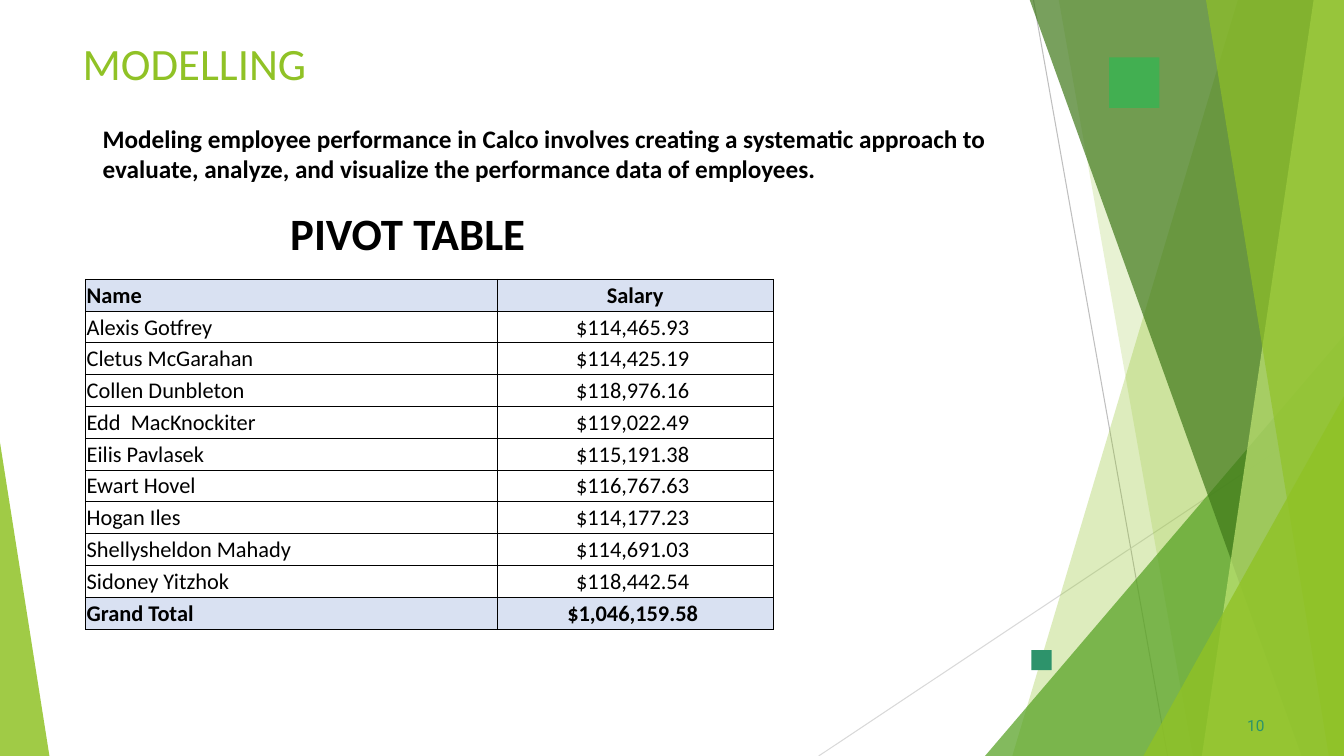
from dataclasses import dataclass
from lxml.etree import SubElement
from pptx import Presentation
from pptx.dml.color import RGBColor
from pptx.enum.shapes import MSO_CONNECTOR, MSO_SHAPE
from pptx.enum.text import MSO_ANCHOR, PP_ALIGN
from pptx.oxml.ns import qn
from pptx.util import Inches, Pt


@dataclass(frozen=True)
class Theme:
    lime: str = "90C226"
    green: str = "54A021"
    dark: str = "3F7819"
    pale: str = "C0E474"
    teal: str = "2D936B"
    leaf: str = "42AF51"
    black: str = "000000"
    band: str = "D9E1F2"
    rule: str = "BFBFBF"
    faint: str = "D9D9D9"
    head: int = 32
    body: int = 18
    cell: int = 16
    page: int = 11
    font: str = "Calibri"
    alt: str = "Roboto"


def paint(shape, color, alpha=100):
    shape.shadow.inherit = False
    shape.line.fill.background()
    shape.fill.solid()
    shape.fill.fore_color.rgb = RGBColor.from_string(color)
    if alpha < 100:
        tone = shape.fill._xPr.find(qn("a:solidFill"))[0]
        SubElement(tone, qn("a:alpha"), val=str(alpha * 1000))


def style(frame, size, color, bold=False, font=Theme.font):
    for run in frame.paragraphs[0].runs:
        run.font.name = font
        run.font.size = Pt(size)
        run.font.bold = bold
        run.font.color.rgb = RGBColor.from_string(color)


theme = Theme()
deck = Presentation()
deck.slide_width, deck.slide_height = Inches(13.33), Inches(7.5)
slide = deck.slides.add_slide(deck.slide_layouts[6])
shapes = slide.shapes

# Thin lines behind the facets
for x1, y1, x2, y2, color in [
    (10.25, 0, 11.58, 7.5, theme.rule),
    (13.33, 4.03, 8.12, 7.5, theme.faint),
]:
    line = shapes.add_connector(
        MSO_CONNECTOR.STRAIGHT, Inches(x1), Inches(y1), Inches(x2), Inches(y2))
    line.line.color.rgb = RGBColor.from_string(color)
    line.line.width = Pt(0.75)
    SubElement(line._element.spPr, qn("a:effectLst"))

# Facets, back to front: bands give the top and bottom of their slanted edge,
# triangles give left, top, width, height and apex
for kind, place, color, alpha in [
    ("band", (12.28, 10.04), theme.lime, 30),
    ("band", (10.5, 11.83), theme.lime, 20),
    ("tri", (9.77, 3.33, 3.56, 4.17, 1), theme.green, 72),
    ("band", (10.21, 12.91), theme.dark, 70),
    ("band", (13.03, 11.92), theme.pale, 70),
    ("band", (11.96, 13.18), theme.lime, 65),
    ("tri", (11.34, 3.93, 1.99, 3.57, 1), theme.lime, 80),
    ("tri", (0, 4.39, 0.49, 3.11, 0), theme.lime, 85),
]:
    if kind == "band":
        top, foot = place
        form = shapes.build_freeform(Inches(top), Inches(-0.01))
        form.add_line_segments([
            (Inches(x), Inches(y))
            for x, y in [(13.33, -0.01), (13.33, 7.5), (foot, 7.5)]])
        facet = form.convert_to_shape()
    else:
        *box, apex = place
        facet = shapes.add_shape(
            MSO_SHAPE.ISOSCELES_TRIANGLE, *[Inches(v) for v in box])
        facet.adjustments[0] = apex
    paint(facet, color, alpha)

# Small squares
for x, y, side, color in [
    (10.23, 6.45, 0.2, theme.teal),
    (11, 0.57, 0.5, theme.leaf),
]:
    square = shapes.add_shape(
        MSO_SHAPE.RECTANGLE, Inches(x), Inches(y), Inches(side), Inches(side))
    paint(square, color)

# Page number, title, intro and table heading
for text, box, pad, size, color, bold, font in [
    ("10", (12.33, 7.08, 0.25, 0.21), (0.04, 0.02, 0, 0),
     theme.page, theme.teal, False, theme.alt),
    ("MODELLING", (0.81, 0.32, 3.61, 0.55), (0.01, 0.03, 0, 0),
     theme.head, theme.lime, False, theme.font),
    ("Modeling employee performance in Calco involves creating a systematic "
     "approach to evaluate, analyze, and visualize the performance data of "
     "employees.", (0.92, 1.17, 9.67, 1.31), (0.1, 0.05, 0.1, 0.05),
     theme.body, theme.black, True, theme.font),
    ("PIVOT TABLE", (2.78, 1.99, 3, 0.64), (0.1, 0.05, 0.1, 0.05),
     theme.head, theme.black, True, theme.font),
]:
    frame = shapes.add_textbox(*[Inches(v) for v in box]).text_frame
    frame.word_wrap = True
    (frame.margin_left, frame.margin_top,
     frame.margin_right, frame.margin_bottom) = [Inches(v) for v in pad]
    frame.text = text
    style(frame, size, color, bold, font)

# Salary table
rows = [
    ("Name", "Salary"),
    ("Alexis Gotfrey", "$114,465.93 "),
    ("Cletus McGarahan", "$114,425.19 "),
    ("Collen Dunbleton", "$118,976.16 "),
    ("Edd  MacKnockiter", "$119,022.49 "),
    ("Eilis Pavlasek", "$115,191.38 "),
    ("Ewart Hovel", "$116,767.63 "),
    ("Hogan Iles", "$114,177.23 "),
    ("Shellysheldon Mahady", "$114,691.03 "),
    ("Sidoney Yitzhok", "$118,442.54 "),
    ("Grand Total", "$1,046,159.58 "),
]
table = shapes.add_table(
    len(rows), 2, Inches(0.85), Inches(2.77), Inches(6.82), Inches(3.47)).table
table.first_row = table.horz_banding = False
table.columns[0].width, table.columns[1].width = Inches(4.08), Inches(2.74)

for r, row in enumerate(rows):
    key = r in (0, len(rows) - 1)
    for c, text in enumerate(row):
        cell = table.cell(r, c)
        cell.text_frame.text = text
        style(cell.text_frame, theme.cell, theme.black, key)
        cell.vertical_anchor = MSO_ANCHOR.MIDDLE
        cell.margin_left = cell.margin_top = cell.margin_right = Inches(0.01)
        cell.margin_bottom = 0
        if c == 1:
            cell.text_frame.paragraphs[0].alignment = PP_ALIGN.CENTER
        # Borders come before the fill in the cell's XML
        props = cell._tc.get_or_add_tcPr()
        for edge in ("a:lnL", "a:lnR", "a:lnT", "a:lnB"):
            side = SubElement(props, qn(edge), w=str(Pt(0.5)))
            ink = SubElement(side, qn("a:solidFill"))
            SubElement(ink, qn("a:srgbClr"), val=theme.black)
        if key:
            cell.fill.solid()
            cell.fill.fore_color.rgb = RGBColor.from_string(theme.band)
        else:
            cell.fill.background()

deck.save("out.pptx")
